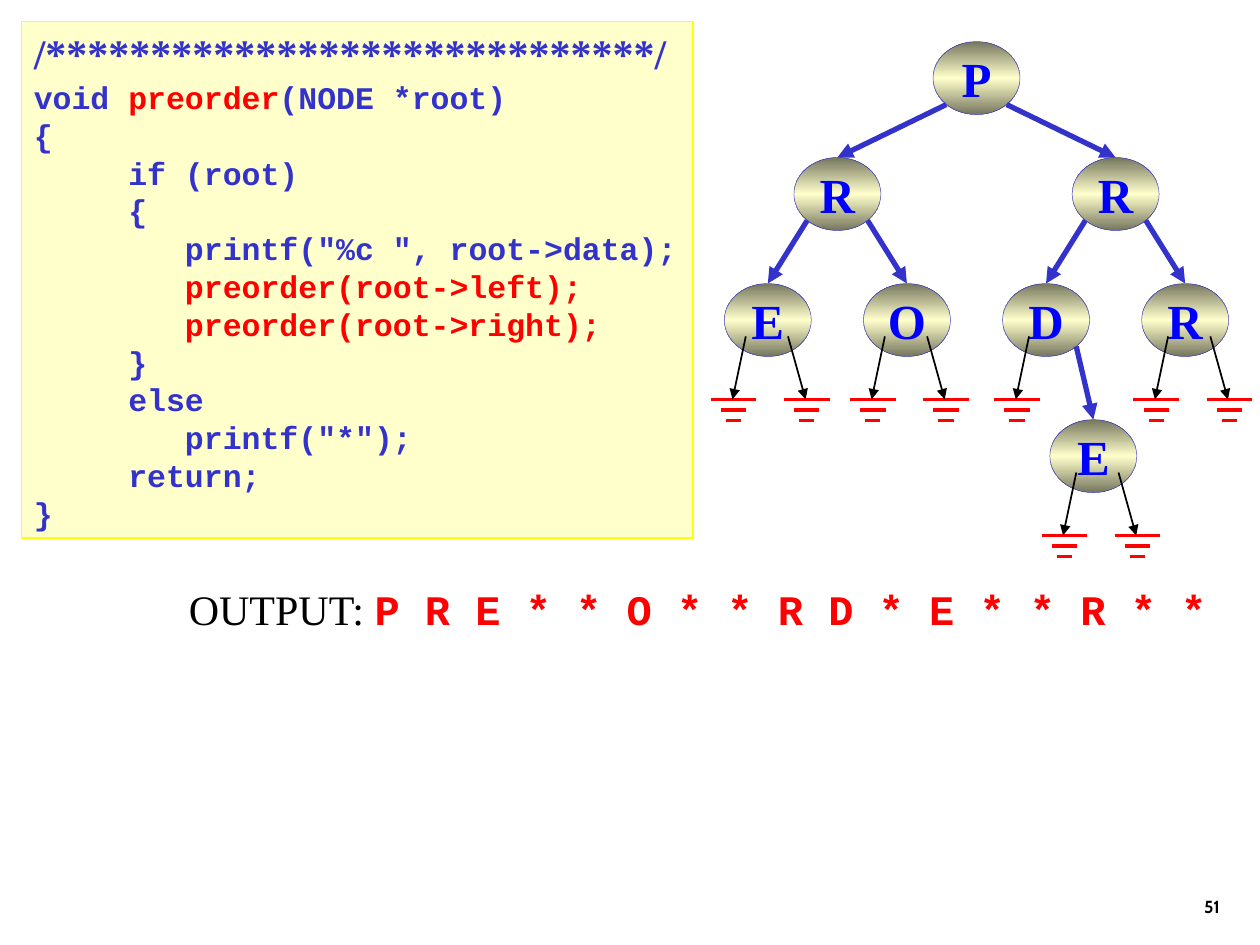
from copy import deepcopy

from lxml import etree
from pptx import Presentation
from pptx import util as u
from pptx.dml.color import RGBColor
from pptx.enum import shapes, text
from pptx.oxml.ns import qn

COLUMNS, ROWS = 100, 75  # square grid cells
BLUE, RED, BLACK, CREAM = "3333CC", "FF0000", "000000", "FFFFCC"
SERIF, MONO = "Times New Roman", "Courier New"


def colour(value):
    return RGBColor.from_string(value)


def write(paragraph, content, font=SERIF, size=24, color=BLACK, bold=True,
          align=text.PP_ALIGN.LEFT, leading=None):
    """Append one formatted run to a paragraph."""
    run = paragraph.add_run()
    run.text = content
    run.font.name, run.font.size, run.font.bold = font, u.Pt(size), bold
    run.font.color.rgb = colour(color)
    paragraph.alignment = align
    if leading:
        paragraph.line_spacing = u.Pt(leading)


class TreeSlide:
    node_width, node_height = 6.9, 5.8

    def __init__(self, deck):
        self.deck = deck
        self.slide = deck.slides.add_slide(deck.slide_layouts[6])

    def x(self, columns):
        return round(self.deck.slide_width * columns / COLUMNS)

    def y(self, rows):
        return round(self.deck.slide_height * rows / ROWS)

    def area(self, left, top, width, height):
        return self.x(left), self.y(top), self.x(width), self.y(height)

    def label(self, *area, wrap=True, anchor=text.MSO_ANCHOR.TOP):
        frame = self.slide.shapes.add_textbox(*self.area(*area)).text_frame
        frame.word_wrap, frame.vertical_anchor = wrap, anchor
        return frame.paragraphs[0]

    def panel(self, kind, *area, line, weight, anchor, wrap):
        shape = self.slide.shapes.add_shape(kind, *self.area(*area))
        shape.shadow.inherit = False
        shape.line.color.rgb, shape.line.width = colour(line), u.Pt(weight)
        frame = shape.text_frame
        frame.vertical_anchor, frame.word_wrap = anchor, wrap
        return shape

    def code(self, *area, lines):
        box = self.panel(shapes.MSO_SHAPE.RECTANGLE, *area, line="FFFF00", weight=0.75,
                         anchor=text.MSO_ANCHOR.TOP, wrap=True)
        box.fill.solid()
        box.fill.fore_color.rgb = colour(CREAM)
        frame = box.text_frame
        write(frame.paragraphs[0], "/" + "*" * 29 + "/", color=BLUE)
        for line in lines:
            paragraph = frame.add_paragraph()
            for content, color in line:
                write(paragraph, content, font=MONO, size=18, color=color, leading=21.6)

    def node(self, letter, center, top):
        oval = self.panel(shapes.MSO_SHAPE.OVAL, center - self.node_width / 2, top,
                          self.node_width, self.node_height, line=BLUE, weight=0.25,
                          anchor=text.MSO_ANCHOR.MIDDLE, wrap=False)
        # Dark edges with a light band across the middle
        oval.fill.gradient()
        oval.fill.gradient_angle = 90
        stop_list = next(oval.element.spPr.iter(qn("a:gsLst")))
        stop_list.insert(1, deepcopy(stop_list[0]))
        for stop, position, shade in zip(oval.fill.gradient_stops, (0, 0.5, 1),
                                         ("76765E", CREAM, "76765E")):
            stop.position, stop.color.rgb = position, colour(shade)
        write(oval.text_frame.paragraphs[0], letter, size=28, color="0000FF",
              align=text.PP_ALIGN.CENTER)

    def line(self, x1, y1, x2, y2, color=BLUE, weight=3, arrow=True):
        link = self.slide.shapes.add_connector(
            shapes.MSO_CONNECTOR.STRAIGHT, self.x(x1), self.y(y1), self.x(x2), self.y(y2))
        link.line.color.rgb, link.line.width = colour(color), u.Pt(weight)
        if arrow:
            stroke = next(link.element.spPr.iter(qn("a:ln")))
            etree.SubElement(stroke, qn("a:tailEnd"), type="triangle")
        etree.SubElement(link.element.spPr, qn("a:effectLst"))

    def null_pointer(self, center, top, start, end):
        """Thin arrow from a node down to a ground symbol."""
        ground = top + 9.2
        for step, half in enumerate((1.8, 1, 0.6)):
            level = ground + step * 0.83
            middle = center + end + 0.1
            self.line(middle - half, level, middle + half, level, RED, 2, arrow=False)
        self.line(center + start, top + 4.2, center + end, ground, BLACK, 1)


deck = Presentation()
deck.slide_width, deck.slide_height = u.Inches(10), u.Inches(7.5)
page = TreeSlide(deck)

# Slide number
write(page.label(77, 68.3, 20.8, 5, anchor=text.MSO_ANCHOR.BOTTOM), "51",
      font="Cabin", size=10, align=text.PP_ALIGN.RIGHT)

# Traversal code
page.code(1.7, 1.7, 53.3, 41, lines=[
    [("void ", BLUE), ("preorder", RED), ("(NODE *root)", BLUE)],
    [("{", BLUE)],
    [("     if (root)", BLUE)],
    [("     {", BLUE)],
    [('        printf("%c ", root->data);', BLUE)],
    [("        ", BLUE), ("preorder(root->left);", RED)],
    [("        ", BLUE), ("preorder(root->right);", RED)],
    [("     }", BLUE)],
    [("     else", BLUE)],
    [('        printf("*");', BLUE)],
    [("     return;", BLUE)],
    [("}", BLUE)],
])

# Program output
output = page.label(14, 45.8, 84.9, 5, wrap=False)
write(output, "OUTPUT: ", bold=False)
write(output, "P R E * * O * * R D * E * * R * *", font=MONO, color=RED)

# Tree: letter, half-steps from the root, level, left child, right child
tree = {
    "root": ("P", 0, 0, "left", "right"),
    "left": ("R", -2, 1, "left left", "left right"),
    "right": ("R", 2, 1, "right left", "right right"),
    "left left": ("E", -3, 2, None, None),
    "left right": ("O", -1, 2, None, None),
    "right left": ("D", 1, 2, None, "leaf"),
    "right right": ("R", 3, 2, None, None),
    "leaf": ("E", 1.68, 3, None, None),
}
LEVEL_TOPS = (3.3, 12.5, 22.5, 33.3)
ROOT_CENTER, HALF_STEP = 77.5, 5.52
places = {key: (ROOT_CENTER + step * HALF_STEP, LEVEL_TOPS[level])
          for key, (_, step, level, _, _) in tree.items()}

for key, (letter, *_) in tree.items():
    page.node(letter, *places[key])

# Child links, or ground symbols where a child is missing
for key, (_, step, _, *children) in tree.items():
    center, top = places[key]
    shift = 0.4 if step > 0 else 0
    for child, side, start, end in zip(children, (-2.4, 2.4), (-1.75, 1.6), (-2.8, 3)):
        if child:
            page.line(center + side, top + 5, *places[child])
        else:
            page.null_pointer(center, top, start + shift, end + shift)

deck.save("out.pptx")
